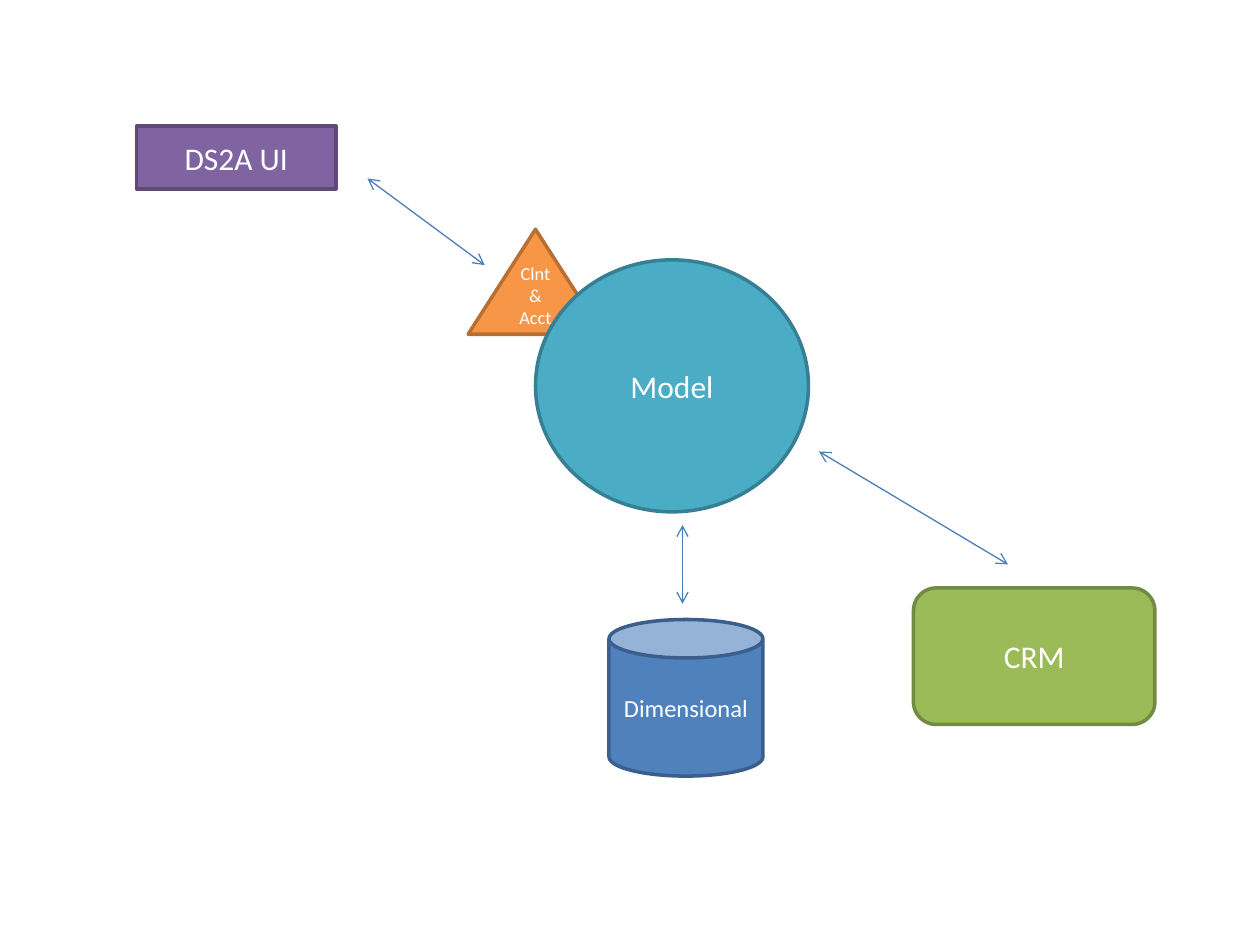
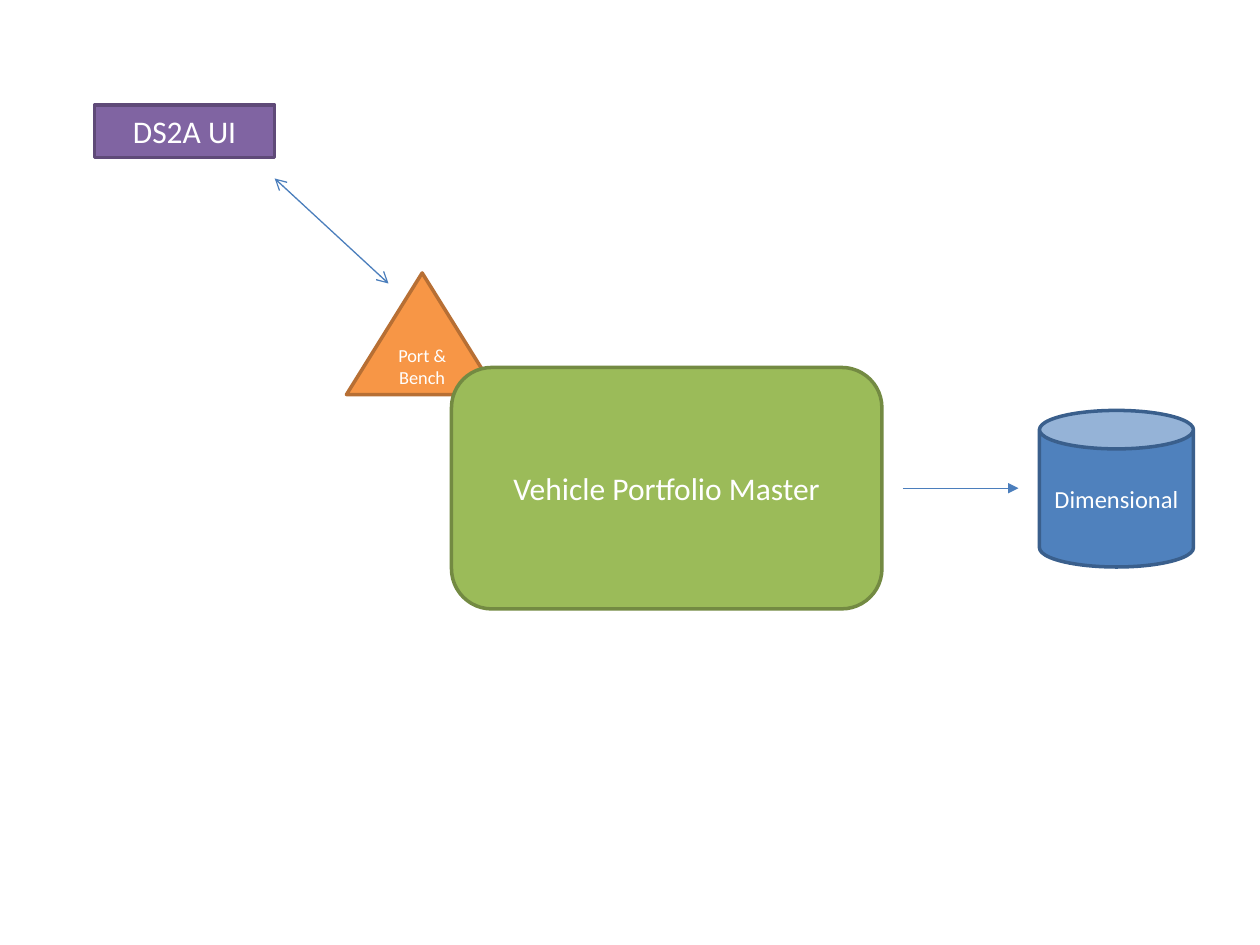
from dataclasses import dataclass

from lxml.etree import SubElement
from pptx import Presentation
from pptx.dml.color import RGBColor
from pptx.enum.shapes import MSO_CONNECTOR, MSO_SHAPE as Shape
from pptx.enum.text import MSO_ANCHOR as Anchor, PP_ALIGN as Align
from pptx.oxml.ns import qn
from pptx.slide import Slide
from pptx.util import Pt

FONT = "Calibri"
WHITE = "FFFFFF"
ARROW_COLOR = "4B7EBC"


@dataclass(frozen=True)
class Style:
    """Look shared by every node of one kind."""
    shape: Shape
    fill: str
    line: str
    size: float = 18
    anchor: Anchor = Anchor.MIDDLE


@dataclass(frozen=True)
class Node:
    style: Style
    text: str
    left: float
    top: float
    width: float
    height: float


@dataclass(frozen=True)
class Arrow:
    start: tuple[float, float]
    end: tuple[float, float]
    head: str | None = "arrow"
    tail: str = "arrow"


# Node kinds
DATABASE = Style(Shape.CAN, "4F81BD", "3A5F8C", 14)
ADAPTER = Style(Shape.ISOSCELES_TRIANGLE, "F79646", "B76F34", 10.5, Anchor.BOTTOM)
MODEL = Style(Shape.OVAL, "4BACC6", "377F92")
UI = Style(Shape.RECTANGLE, "8064A2", "5F4A78")
SYSTEM = Style(Shape.ROUNDED_RECTANGLE, "9BBB59", "738A42")

# Parts of each slide from back to front, in points
MODEL_SLIDE = [
    Node(DATABASE, "Dimensional", 348, 354, 88, 89.5),
    Node(ADAPTER, "Clnt & Acct", 267.5, 131, 77, 60),
    Node(MODEL, "Model", 306, 148.5, 156, 144),
    Node(UI, "DS2A UI", 78, 72, 114, 36),
    Arrow((210, 102), (277, 151.5)),
    Arrow((390, 300), (390, 345)),
    Node(SYSTEM, "CRM", 522, 336, 138, 78),
    Arrow((468, 258), (576, 322.5)),
]
MASTER_SLIDE = [
    Node(ADAPTER, "Port & Bench", 198, 156, 86.5, 69.5),
    Node(UI, "DS2A UI", 54, 60, 103, 30),
    Arrow((222, 162), (157, 102)),
    Node(SYSTEM, "Vehicle Portfolio Master", 258, 210, 246, 138),
    Node(DATABASE, "Dimensional", 594, 234.5, 88, 89.5),
    Arrow((516, 279), (582, 279), head=None, tail="triangle"),
]


def rgb(color: str) -> RGBColor:
    return RGBColor.from_string(color)


def draw_node(slide: Slide, node: Node) -> None:
    style = node.style
    box = map(Pt, (node.left, node.top, node.width, node.height))
    sp = slide.shapes.add_shape(style.shape, *box)
    sp.shadow.inherit = False
    sp.fill.solid()
    sp.fill.fore_color.rgb = rgb(style.fill)
    sp.line.color.rgb = rgb(style.line)
    sp.line.width = Pt(2)

    tf = sp.text_frame
    tf.word_wrap = True
    tf.vertical_anchor = style.anchor
    p = tf.paragraphs[0]
    p.alignment = Align.CENTER
    r = p.add_run()
    r.text = node.text
    for name, value in {"name": FONT, "size": Pt(style.size)}.items():
        setattr(r.font, name, value)
    r.font.color.rgb = rgb(WHITE)


def draw_arrow(slide: Slide, arrow: Arrow) -> None:
    ends = map(Pt, (*arrow.start, *arrow.end))
    s = slide.shapes.add_connector(MSO_CONNECTOR.STRAIGHT, *ends)
    s.line.color.rgb = rgb(ARROW_COLOR)
    s.line.width = Pt(0.75)
    # Arrowheads, and no shadow
    sp_pr = s.element.spPr
    ln = sp_pr.find(qn("a:ln"))
    for tag, kind in {"a:headEnd": arrow.head, "a:tailEnd": arrow.tail}.items():
        if kind:
            SubElement(ln, qn(tag), type=kind)
    SubElement(sp_pr, qn("a:effectLst"))


def main() -> None:
    prs = Presentation()
    prs.slide_width, prs.slide_height = Pt(720), Pt(540)
    blank = prs.slide_layouts[6]
    for parts in (MODEL_SLIDE, MASTER_SLIDE):
        slide = prs.slides.add_slide(blank)
        for part in parts:
            draw = draw_node if isinstance(part, Node) else draw_arrow
            draw(slide, part)
    prs.save("out.pptx")


if __name__ == "__main__":
    main()
